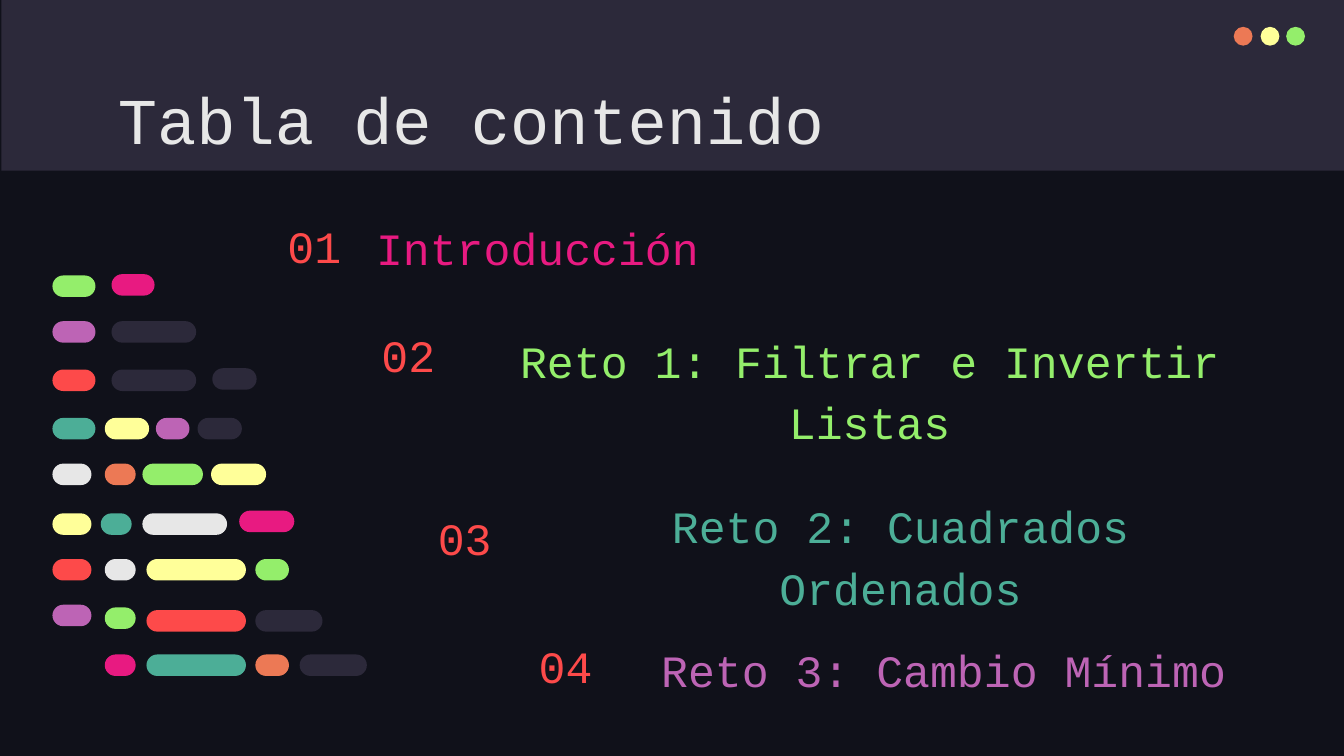
import dataclasses

import pptx
import pptx.dml.color
import pptx.enum.shapes
import pptx.enum.text
import pptx.util

SHAPE = pptx.enum.shapes.MSO_SHAPE
ANCHOR = pptx.enum.text.MSO_ANCHOR
ALIGN = pptx.enum.text.PP_ALIGN


@dataclasses.dataclass(frozen=True)
class Theme:
    night: str = "10111A"
    slate: str = "2C293A"
    white: str = "E7E7E7"
    red: str = "FD4A4A"
    pink: str = "E81A81"
    green: str = "94EE6B"
    teal: str = "4CAE97"
    purple: str = "BD64B5"
    yellow: str = "FFFF99"
    orange: str = "EC7955"
    font: str = "Courier New"
    title_size: int = 35
    item_size: int = 24


class Deck:
    """Draws on a grid of 100 columns by 56.25 rows; every cell is 0.1 inch square."""

    CELL = 0.1
    COLS, ROWS = 100, 56.25

    def __init__(self, theme):
        self.theme = theme
        self.prs = pptx.Presentation()
        self.prs.slide_width = self.cells(self.COLS)
        self.prs.slide_height = self.cells(self.ROWS)
        self.s = None

    def cells(self, n):
        return pptx.util.Inches(n * self.CELL)

    def color(self, name):
        return pptx.dml.color.RGBColor.from_string(getattr(self.theme, name))

    def add_slide(self, background):
        self.s = self.prs.slides.add_slide(self.prs.slide_layouts[6])
        fill = self.s.background.fill
        fill.solid()
        fill.fore_color.rgb = self.color(background)

    def shape(self, kind, box, color):
        sp = self.s.shapes.add_shape(kind, *map(self.cells, box))
        sp.shadow.inherit = False
        sp.fill.solid()
        sp.fill.fore_color.rgb = self.color(color)
        sp.line.fill.background()
        return sp

    def pill(self, box, color):
        self.shape(SHAPE.ROUNDED_RECTANGLE, box, color).adjustments[0] = 0.5

    def text(self, text, box, color, size, anchor=ANCHOR.TOP, **paragraph):
        tf = self.s.shapes.add_textbox(*map(self.cells, box)).text_frame
        inset = self.cells(1)
        frame = {"word_wrap": True, "vertical_anchor": anchor, "margin_left": inset,
                 "margin_right": inset, "margin_top": inset, "margin_bottom": inset}
        p = tf.paragraphs[0]
        r = p.add_run()
        r.text = text
        r.font.color.rgb = self.color(color)
        font = {"name": self.theme.font, "size": pptx.util.Pt(size)}
        for target, values in ((tf, frame), (p, paragraph), (r.font, font)):
            for name, value in values.items():
                setattr(target, name, value)


WINDOW_DOTS = ((91.8, "orange"), (93.8, "yellow"), (95.7, "green"))

# Number box, heading box, heading alignment, heading, heading colour
CONTENTS = (
    ((20.4, 16.1, 6.6, 4.3), (27, 16.1, 46, 5.3), ALIGN.LEFT,
     "Introducción", "pink"),
    ((27.4, 24.2, 6.6, 4.3), (33.1, 29.1, 63.2, 5.3), ALIGN.CENTER,
     "Reto 1: Filtrar e Invertir Listas", "green"),
    ((31.6, 38.2, 6.6, 3.6), (39.1, 41.4, 55.8, 5.3), ALIGN.CENTER,
     "Reto 2: Cuadrados Ordenados", "teal"),
    ((39.1, 47.7, 6.6, 3.6), (42.3, 47.5, 55.8, 5.3), ALIGN.CENTER,
     "Reto 3: Cambio Mínimo", "purple"),
)

# Each code line: top row, then pills as (column, width, colour, optional row shift)
PILL_HEIGHT = 1.6
CODE_LINES = (
    (20.5, (3.9, 3.2, "green"), (8.3, 3.2, "pink", -0.1)),
    (23.9, (3.9, 3.2, "purple"), (8.3, 6.3, "slate")),
    (27.5, (3.9, 3.2, "red"), (8.3, 6.3, "slate"), (15.8, 3.3, "slate", -0.1)),
    (31.1, (3.9, 3.2, "teal"), (7.8, 3.3, "yellow"), (11.6, 2.5, "purple"),
     (14.7, 3.3, "slate")),
    (34.5, (3.9, 2.9, "white"), (7.8, 2.3, "orange"), (10.6, 4.5, "green"),
     (15.7, 4.1, "yellow")),
    (38.2, (3.9, 2.9, "yellow"), (7.5, 2.3, "teal"), (10.6, 6.3, "white"),
     (17.8, 4.1, "pink", -0.2)),
    (41.6, (3.9, 2.9, "red"), (7.8, 2.3, "white"), (10.9, 7.4, "yellow"),
     (19, 2.5, "green")),
    (45, (3.9, 2.9, "purple"), (7.8, 2.3, "green", 0.2), (10.9, 7.4, "red", 0.4),
     (19, 5, "slate", 0.4)),
    (48.7, (7.8, 2.3, "pink"), (10.9, 7.4, "teal"), (19, 2.5, "orange"),
     (22.3, 5, "slate")),
)


def main():
    theme = Theme()
    deck = Deck(theme)
    deck.add_slide("night")

    deck.shape(SHAPE.RECTANGLE, (0.1, 0, 100, 12.7), "slate")
    for col, color in WINDOW_DOTS:
        deck.shape(SHAPE.OVAL, (col, 2, 1.4, 1.4), color)
    deck.text("Tabla de contenido", (7.8, 4.9, 84.3, 6.3), "white", theme.title_size)

    for top, *pills in CODE_LINES:
        for col, width, color, *shift in pills:
            deck.pill((col, top + sum(shift), width, PILL_HEIGHT), color)

    for i, (number_box, heading_box, align, heading, color) in enumerate(CONTENTS, 1):
        deck.text(f"{i:02}", number_box, "red", theme.item_size, ANCHOR.MIDDLE)
        deck.text(heading, heading_box, color, theme.item_size, ANCHOR.BOTTOM,
                  alignment=align, line_spacing=1.15)

    deck.prs.save("out.pptx")


if __name__ == "__main__":
    main()
